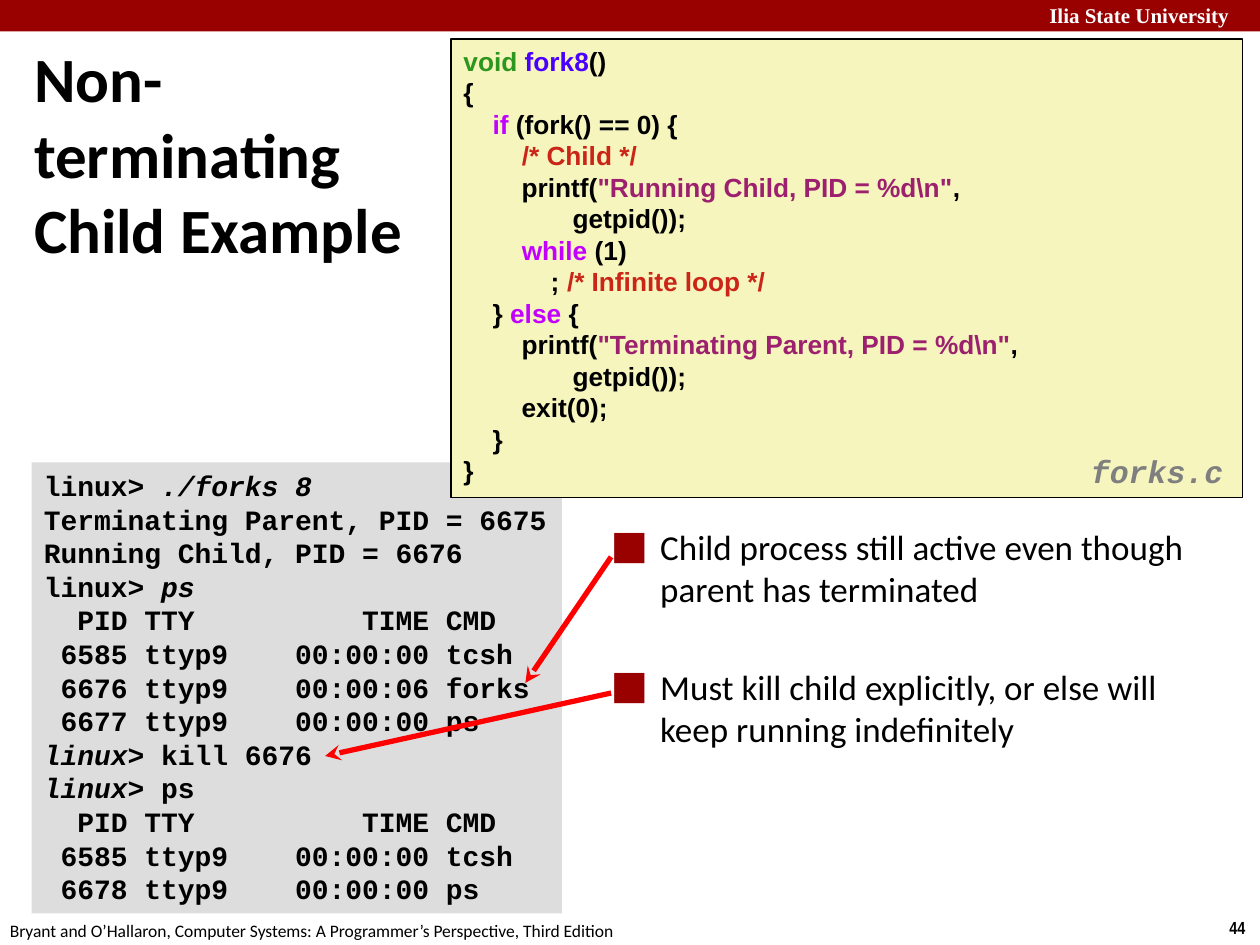
"""Build the slide about a child process that does not terminate."""
from dataclasses import dataclass
from typing import NamedTuple, Optional

import lxml.etree
import pptx
import pptx.dml.color
import pptx.enum.shapes
import pptx.enum.text
import pptx.oxml.ns
import pptx.util

Inches = pptx.util.Inches
qn = pptx.oxml.ns.qn

COLORS = {
    "ink": "000000", "white": "FFFFFF", "crimson": "990000", "terminal": "DDDDDD",
    "listing": "F6F5BD", "file": "7F7F7F", "arrow": "FF0000", "type": "2D961E",
    "function": "4A00FF", "keyword": "C200FF", "comment": "CB2418", "string": "9D206F",
}


class Span(NamedTuple):
    text: str
    color: str = "ink"
    italic: bool = False


class Arrow(NamedTuple):
    start: tuple
    end: tuple


@dataclass
class Panel:
    at: tuple
    lines: list
    font: str = "Calibri"
    size: float = 10
    bold: bool = True
    fill: Optional[str] = None
    outline: Optional[str] = None
    line_spacing: Optional[float] = None


PROCESS_HEADER = [Span("  PID TTY          TIME CMD")]
SHELL_PROCESS = [Span(" 6585 ttyp9    00:00:00 tcsh")]
PROMPT = Span("linux>", italic=True)
GETPID = [Span("               getpid());")]

TERMINAL = [
    [Span("linux> "), Span("./forks 8", italic=True)],
    [Span("Terminating Parent, PID = 6675")],
    [Span("Running Child, PID = 6676")],
    [Span("linux> "), Span("ps", italic=True)],
    PROCESS_HEADER,
    SHELL_PROCESS,
    [Span(" 6676 ttyp9    00:00:06 forks")],
    [Span(" 6677 ttyp9    00:00:00 ps")],
    [PROMPT, Span(" kill 6676")],
    [PROMPT, Span(" ps")],
    PROCESS_HEADER,
    SHELL_PROCESS,
    [Span(" 6678 ttyp9    00:00:00 ps")],
]

LISTING = [
    [Span("void ", "type"), Span("fork8", "function"), Span("()")],
    [Span("{")],
    [Span("    "), Span("if", "keyword"), Span(" (fork() == 0) {")],
    [Span("        "), Span("/* Child */", "comment")],
    [Span("        printf("), Span(r'"Running Child, PID = %d\n"', "string"), Span(",")],
    GETPID,
    [Span("        "), Span("while", "keyword"), Span(" (1)")],
    [Span("            ; "), Span("/* Infinite loop */", "comment")],
    [Span("    } "), Span("else", "keyword"), Span(" {")],
    [Span("        printf("), Span(r'"Terminating Parent, PID = %d\n"', "string"), Span(",")],
    GETPID,
    [Span("        exit(0);")],
    [Span("    }")],
    [Span("}")],
]

PANELS = [
    Panel((0, 0, 10, 0.25), [], fill="crimson"),
    Panel((8.23, -0.03, 1.84, 0.3), [[Span("Ilia State University", "white")]],
          "Times New Roman", 12),
    Panel((9.66, 7.23, 0.34, 0.27), [[Span("44")]], "Arial Narrow"),
    Panel((-0.02, 7.25, 5.08, 0.27),
          [[Span("Bryant and O’Hallaron, Computer Systems: "
                 "A Programmer’s Perspective, Third Edition")]], bold=False),
    Panel((0.25, 3.67, 4.21, 3.58), TERMINAL, "Courier New", 16, fill="terminal"),
    Panel((3.58, 0.31, 6.28, 3.64), LISTING, "Arial", 15, fill="listing", outline="ink"),
    Panel((8.56, 3.56, 1.32, 0.39), [[Span("forks.c", "file", True)]],
          "Courier New", 18, line_spacing=0.94),
]

TITLE_LINES = ["Non-", "terminating", "Child Example"]
POINTS = [
    "Child process still active even though parent has terminated",
    "Must kill child explicitly, or else will keep running indefinitely",
]
ARROWS = [Arrow((4.85, 4.42), (4.17, 5.42)), Arrow((4.85, 5.5), (2.58, 6))]


def rgb(name: str) -> pptx.dml.color.RGBColor:
    """Return the named colour."""
    return pptx.dml.color.RGBColor.from_string(COLORS[name])


def apply(target, values: dict) -> None:
    """Set each given value as an attribute of the target."""
    for name, value in values.items():
        setattr(target, name, value)


def add_span(para, span: Span, font: str, size: float, bold: bool) -> None:
    """Append one formatted run to a paragraph."""
    run = para.add_run()
    run.text = span.text
    apply(run.font, {"name": font, "size": pptx.util.Pt(size), "bold": bold,
                     "italic": span.italic})
    run.font.color.rgb = rgb(span.color)


def next_para(frame, index: int):
    """Return the first paragraph of a frame, or a new one after it."""
    para = frame.paragraphs[0] if index == 0 else frame.add_paragraph()
    para.alignment = pptx.enum.text.PP_ALIGN.LEFT
    return para


def draw_panel(page, panel: Panel) -> None:
    """Draw a filled rectangle or a text box with its lines."""
    place = [Inches(length) for length in panel.at]
    if panel.fill:
        box = page.shapes.add_shape(pptx.enum.shapes.MSO_SHAPE.RECTANGLE, *place)
        box.shadow.inherit = False
        box.fill.solid()
        box.fill.fore_color.rgb = rgb(panel.fill)
        if panel.outline:
            box.line.color.rgb = rgb(panel.outline)
            box.line.width = pptx.util.Pt(0.75)
        else:
            box.line.fill.background()
    else:
        box = page.shapes.add_textbox(*place)
    apply(box.text_frame, {"word_wrap": False,
                           "vertical_anchor": pptx.enum.text.MSO_ANCHOR.TOP})
    for index, line in enumerate(panel.lines):
        para = next_para(box.text_frame, index)
        if panel.line_spacing:
            para.line_spacing = panel.line_spacing
        for span in line:
            add_span(para, span, panel.font, panel.size, panel.bold)


def place_holder(holder, at: tuple, anchor) -> None:
    """Move a placeholder and fix its text settings."""
    names = ("left", "top", "width", "height")
    apply(holder, {name: Inches(length) for name, length in zip(names, at)})
    apply(holder.text_frame, {"word_wrap": True, "vertical_anchor": anchor,
                              "auto_size": pptx.enum.text.MSO_AUTO_SIZE.NONE})


def fill_title(title) -> None:
    """Write the title as one paragraph with line breaks."""
    place_holder(title, (0.17, 0.33, 4, 1.77), pptx.enum.text.MSO_ANCHOR.MIDDLE)
    para = next_para(title.text_frame, 0)
    for index, line in enumerate(TITLE_LINES):
        if index:
            para.add_line_break()
        add_span(para, Span(line), "Calibri", 36, True)
    for line_break in para._p.findall(qn("a:br")):
        lxml.etree.SubElement(line_break, qn("a:rPr"), sz="3600")


def fill_points(body) -> None:
    """Write the bulleted points."""
    place_holder(body, (4.76, 4.12, 4.74, 2.97), pptx.enum.text.MSO_ANCHOR.TOP)
    for index, point in enumerate(POINTS):
        para = next_para(body.text_frame, index)
        properties = para._p.get_or_add_pPr()
        apply_indent = {"marL": Inches(0.38), "indent": Inches(-0.38)}
        for name, value in apply_indent.items():
            properties.set(name, str(value))
        color = lxml.etree.SubElement(properties, qn("a:buClr"))
        lxml.etree.SubElement(color, qn("a:srgbClr"), val=COLORS["crimson"])
        lxml.etree.SubElement(properties, qn("a:buChar"), char="⬛")
        para.space_before = pptx.util.Pt(32 if index else 0)
        add_span(para, Span(point), "Calibri", 20, False)


def draw_arrow(page, arrow: Arrow) -> None:
    """Draw a red arrow from a point to the terminal output."""
    ends = [Inches(length) for length in arrow.start + arrow.end]
    line = page.shapes.add_connector(pptx.enum.shapes.MSO_CONNECTOR.STRAIGHT, *ends)
    line.line.color.rgb = rgb("arrow")
    line.line.width = pptx.util.Pt(3)
    lxml.etree.SubElement(line.line._get_or_add_ln(), qn("a:tailEnd"), type="stealth")
    lxml.etree.SubElement(line._element.spPr, qn("a:effectLst"))


def main() -> None:
    """Build and save the deck."""
    deck = pptx.Presentation()
    apply(deck, {"slide_width": Inches(10), "slide_height": Inches(7.5)})
    page = deck.slides.add_slide(deck.slide_layouts[1])
    fill_title(page.shapes.title)
    fill_points(page.placeholders[1])
    for panel in PANELS:
        draw_panel(page, panel)
    for arrow in ARROWS:
        draw_arrow(page, arrow)
    deck.save("out.pptx")


if __name__ == "__main__":
    main()
